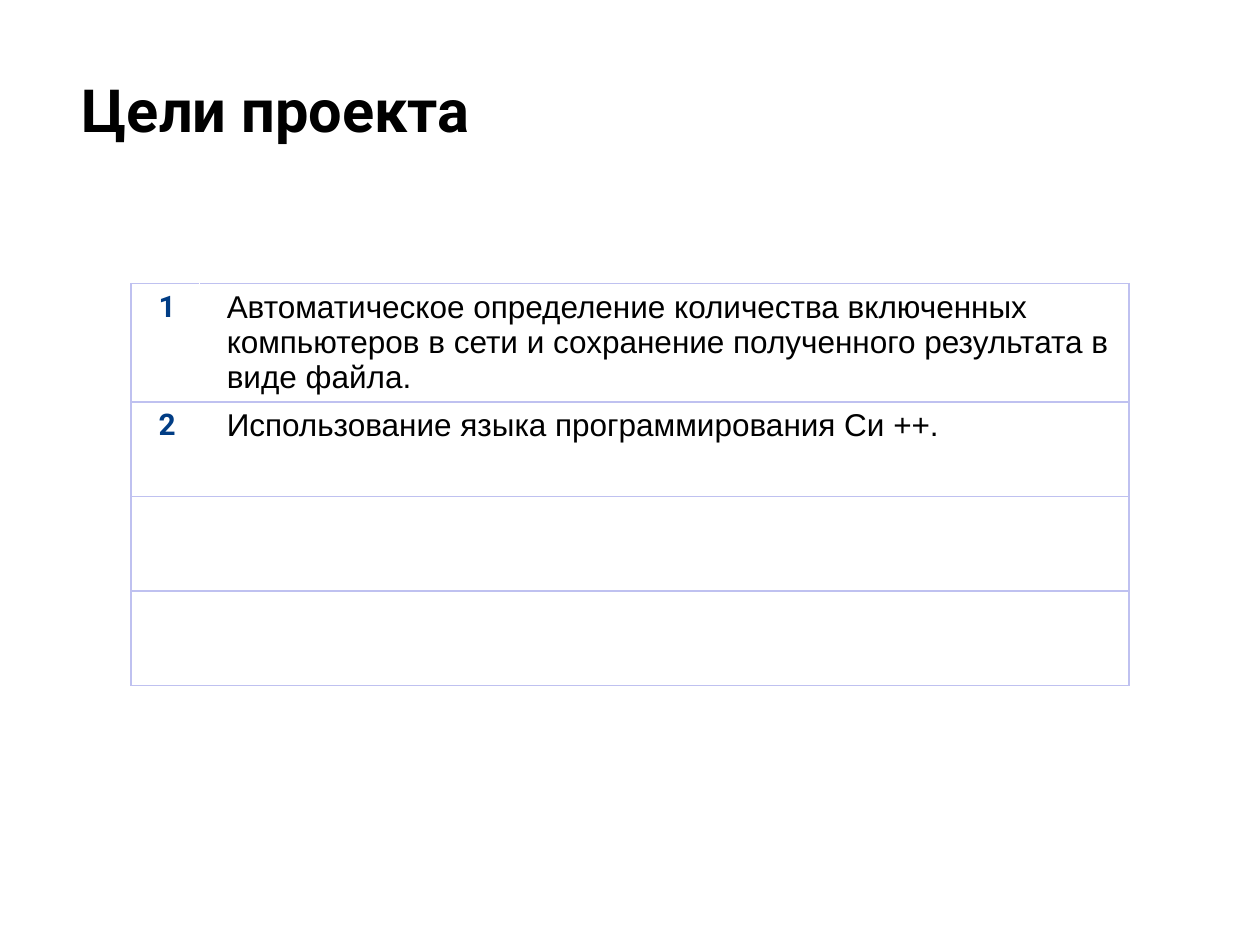
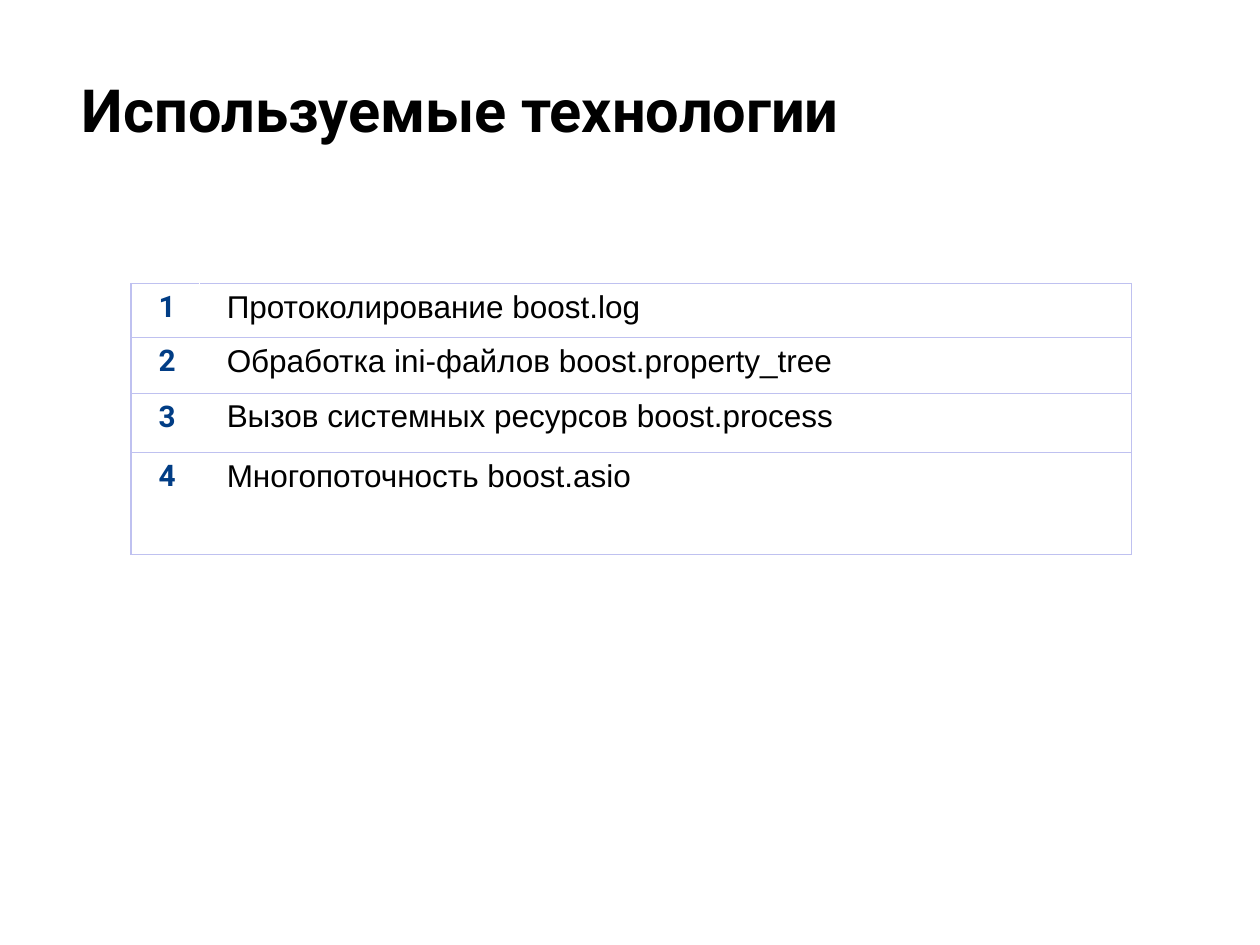
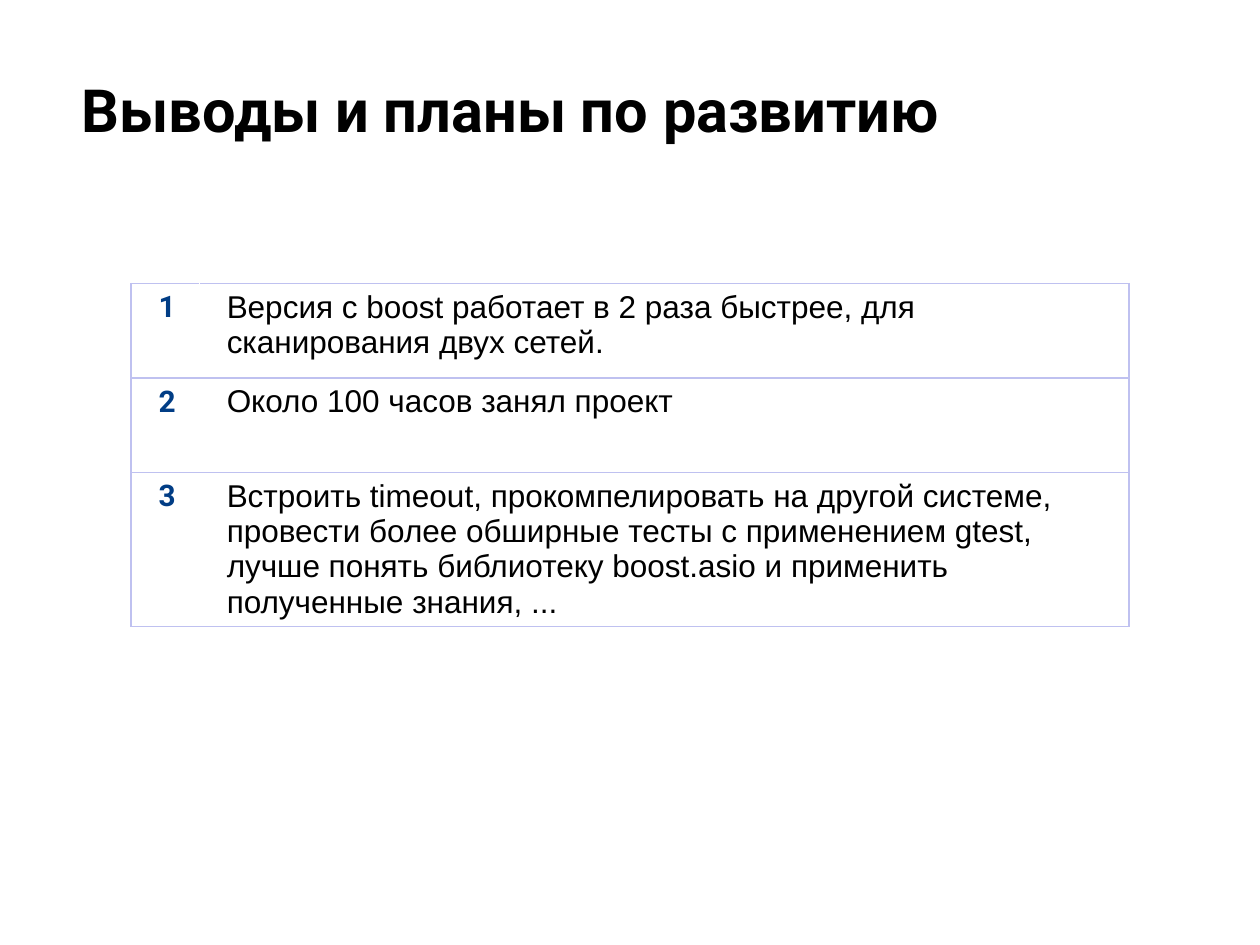
from lxml import etree
from pptx import Presentation
from pptx.dml.color import RGBColor
from pptx.enum.text import MSO_ANCHOR, MSO_AUTO_SIZE, PP_ALIGN
from pptx.oxml.ns import qn
from pptx.util import Inches, Pt

LEFT = PP_ALIGN.LEFT
TOP = MSO_ANCHOR.TOP
NO_AUTOFIT = MSO_AUTO_SIZE.NONE

BLACK = RGBColor(0x00, 0x00, 0x00)
WHITE = RGBColor(0xFF, 0xFF, 0xFF)
NUMBER_BLUE = RGBColor(0x01, 0x3D, 0x85)
BORDER_LILAC = RGBColor(0xBF, 0xC1, 0xF0)

SLIDES = [
    {
        "title": "Цели проекта",
        "items": [
            "Автоматическое определение количества включенных компьютеров в сети "
            "и сохранение полученного результата в виде файла.",
            "Использование языка программирования Си ++.",
        ],
        "row_heights": [0.75] * 4,
        "text_width": 7.38,
    },
    {
        "title": "Используемые технологии",
        "items": [
            "Протоколирование boost.log",
            "Обработка ini-файлов boost.property_tree",
            "Вызов системных ресурсов boost.process",
            "Многопоточность boost.asio",
        ],
        "row_heights": [0.43, 0.44, 0.47, 0.81],
        "text_width": 7.4,
    },
    {
        "title": "Выводы и планы по развитию",
        "items": [
            "Версия с boost работает в 2 раза быстрее, для сканирования двух сетей.",
            "Около 100 часов занял проект",
            "Встроить timeout, прокомпелировать на другой системе, провести более "
            "обширные тесты с применением gtest, лучше понять библиотеку boost.asio "
            "и применить полученные знания, ...",
        ],
        "row_heights": [0.75] * 3,
        "text_width": 7.38,
    },
]

TITLE_BOX = (0.55, 0.48, 9.32, 1.43)
TITLE_INSET = 0.1
TABLE_LEFT, TABLE_TOP = 1.04, 2.25
NUMBER_WIDTH = 0.54
BORDER_WIDTH = 0.75

TITLE_FORMAT = {"size": 34, "font": "Roboto", "color": BLACK, "bold": True}
NUMBER_FORMAT = {"size": 17, "font": "Roboto", "color": NUMBER_BLUE, "bold": True}
ITEM_FORMAT = {"size": 18, "font": "Arial", "color": BLACK, "bold": False}

NUMBER_BORDERS = {"L": BORDER_LILAC, "R": WHITE, "T": BORDER_LILAC, "B": BORDER_LILAC}
ITEM_BORDERS = {"L": WHITE, "R": BORDER_LILAC, "T": BORDER_LILAC, "B": BORDER_LILAC}


def write_text(text_frame, text, *, size, font, color, bold):
    paragraph = text_frame.paragraphs[0]
    paragraph.alignment = LEFT
    run = paragraph.add_run()
    run.text = text
    run.font.size = Pt(size)
    run.font.name = font
    run.font.color.rgb = color
    run.font.bold = bold


def set_borders(cell, borders):
    properties = cell._tc.get_or_add_tcPr()
    for side, color in borders.items():
        line = etree.SubElement(properties, qn(f"a:ln{side}"), w=str(Pt(BORDER_WIDTH)))
        fill = etree.SubElement(line, qn("a:solidFill"))
        etree.SubElement(fill, qn("a:srgbClr"), val=str(color))


def add_title(slide, text):
    title = slide.shapes.title
    title.left, title.top, title.width, title.height = map(Inches, TITLE_BOX)
    frame = title.text_frame
    frame.margin_left = frame.margin_right = Inches(TITLE_INSET)
    frame.margin_top = frame.margin_bottom = Inches(TITLE_INSET)
    frame.vertical_anchor = TOP
    frame.auto_size = NO_AUTOFIT
    frame.word_wrap = True
    write_text(frame, text, **TITLE_FORMAT)


def format_cell(cell, borders):
    cell.margin_left, cell.margin_right = Inches(0.22), Inches(0.1)
    cell.margin_top = cell.margin_bottom = Inches(0.05)
    cell.vertical_anchor = TOP
    set_borders(cell, borders)
    cell.fill.background()


def add_numbered_table(slide, items, row_heights, text_width):
    widths = (NUMBER_WIDTH, text_width)
    table = slide.shapes.add_table(
        len(row_heights), len(widths), Inches(TABLE_LEFT), Inches(TABLE_TOP),
        Inches(sum(widths)), Inches(sum(row_heights)),
    ).table
    table.first_row = False
    table.horz_banding = False
    for column, width in zip(table.columns, widths):
        column.width = Inches(width)
    for row, height in zip(table.rows, row_heights):
        row.height = Inches(height)
        for cell, borders in zip(row.cells, (NUMBER_BORDERS, ITEM_BORDERS)):
            format_cell(cell, borders)
    for index, item in enumerate(items):
        write_text(table.cell(index, 0).text_frame, str(index + 1), **NUMBER_FORMAT)
        write_text(table.cell(index, 1).text_frame, item, **ITEM_FORMAT)


def main():
    presentation = Presentation()
    presentation.slide_width = Inches(10)
    presentation.slide_height = Inches(7.5)
    title_only = presentation.slide_layouts.get_by_name("Title Only")
    for content in SLIDES:
        slide = presentation.slides.add_slide(title_only)
        add_title(slide, content["title"])
        add_numbered_table(
            slide, content["items"], content["row_heights"], content["text_width"]
        )
    presentation.save("out.pptx")


if __name__ == "__main__":
    main()
